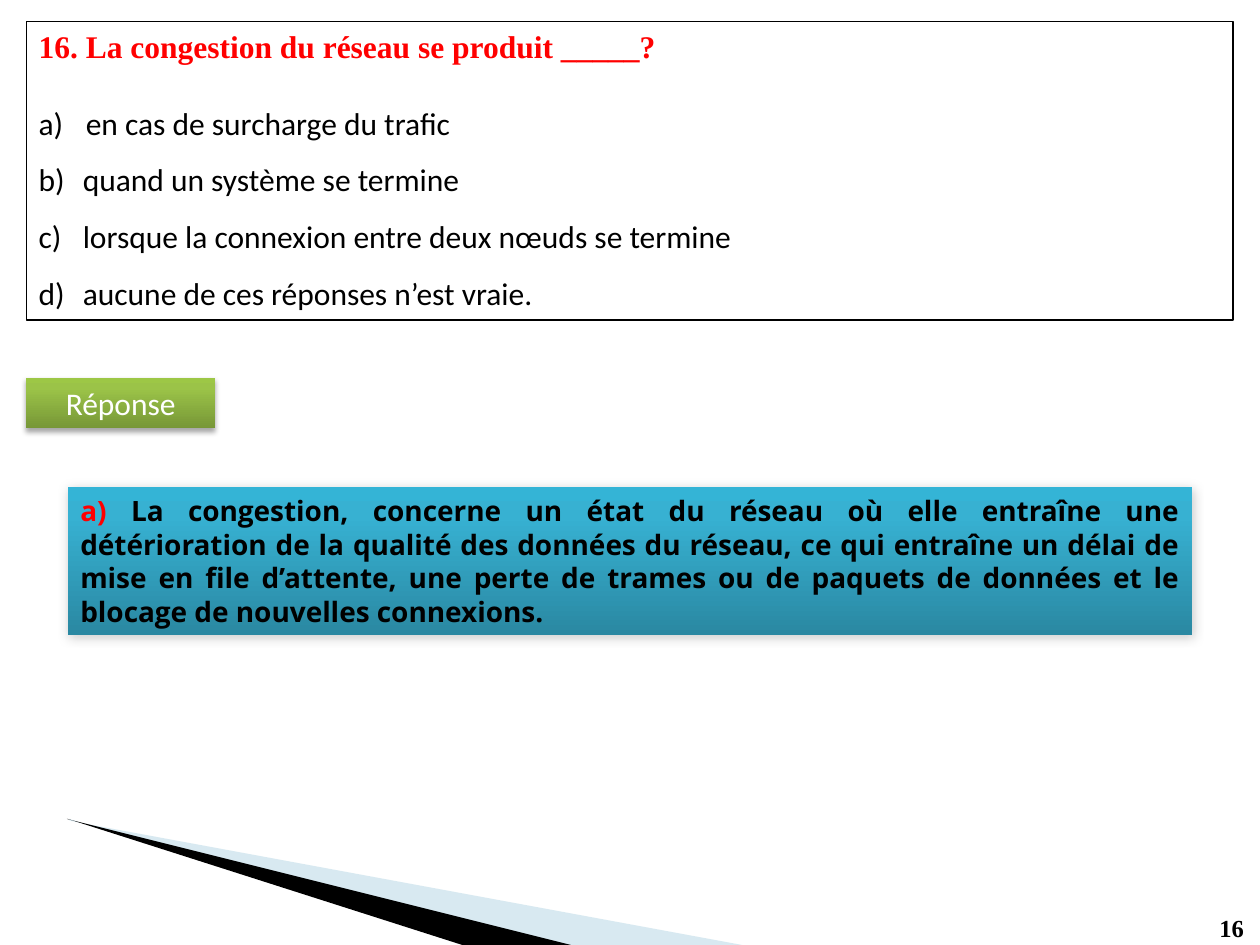
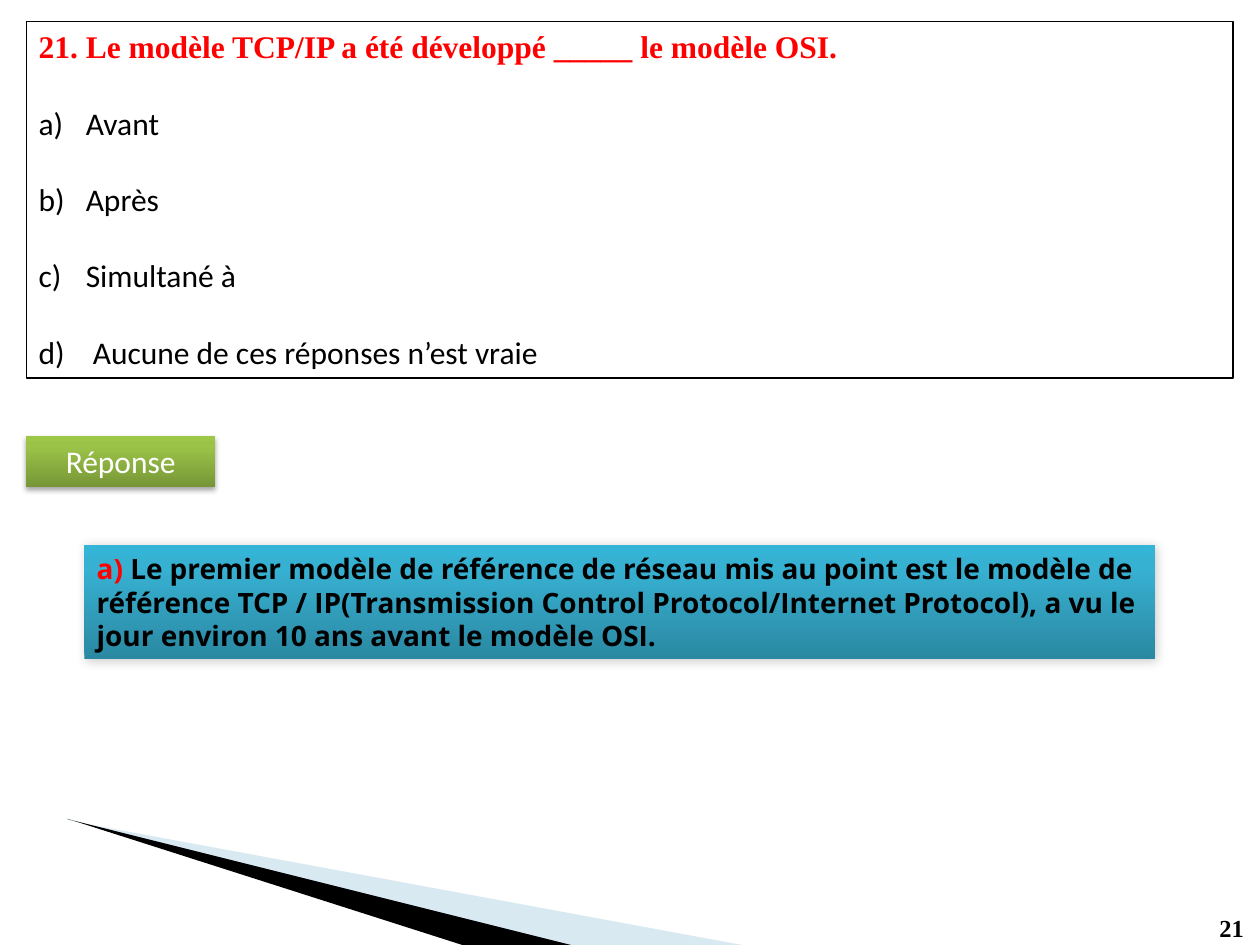
import pptx
import pptx.util
import pptx.dml.color
import pptx.enum.shapes
import pptx.enum.text
import pptx.oxml
import pptx.oxml.ns
from dataclasses import dataclass

Cm, Pt = pptx.util.Cm, pptx.util.Pt
RGB = pptx.dml.color.RGBColor.from_string
ALIGN = pptx.enum.text.PP_ALIGN
RECT = pptx.enum.shapes.MSO_SHAPE.RECTANGLE
NS = pptx.oxml.ns.nsdecls("a")


@dataclass(frozen=True)
class Theme:
    black: str = "000000"
    white: str = "FFFFFF"
    red: str = "FF0000"
    pale_blue: str = "9FCADC"
    green: tuple = ((0, "779737"), (80, "9BC348"), (100, "9DC746"))
    blue: tuple = ((0, "2A88A2"), (80, "37B1D2"), (100, "34B4D6"))
    # Shadows: opacity %, blur pt, distance pt, direction in degrees
    button_shadow: tuple = (35, 3.1, 1.8, 90)
    answer_shadow: tuple = (20, 6, 1, 45)
    serif: str = "Times New Roman"
    body: str = "Calibri"
    answer: str = "Open Sans"
    size: int = 18
    answer_size: int = 16
    number_size: int = 14


theme = Theme()


def style(r, font, size, color, bold=False):
    r.font.name, r.font.size, r.font.bold = font, Pt(size), bold
    r.font.color.rgb = RGB(color)


def add_box(slide, left, top, width, height, stops=None, shadow=None):
    sp = slide.shapes.add_shape(RECT, Cm(left), Cm(top), Cm(width), Cm(height))
    tf = sp.text_frame
    tf.word_wrap = True
    tf.auto_size = pptx.enum.text.MSO_AUTO_SIZE.SHAPE_TO_FIT_TEXT
    tf.paragraphs[0].alignment = ALIGN.LEFT
    sp.shadow.inherit = False
    if not stops:
        sp.fill.background()
        sp.line.color.rgb = RGB(theme.black)
        sp.line.width = Pt(0.75)
        return sp
    # Vertical gradient, first stop at the bottom
    sp.line.fill.background()
    spPr = sp._element.spPr
    gs = "".join(f'<a:gs pos="{pos * 1000}"><a:srgbClr val="{c}"/></a:gs>' for pos, c in stops)
    spPr.prstGeom.addnext(pptx.oxml.parse_xml(
        f'<a:gradFill {NS} rotWithShape="1"><a:gsLst>{gs}</a:gsLst>'
        '<a:lin ang="16200000" scaled="0"/></a:gradFill>'))
    alpha, blur, dist, angle = shadow
    spPr.find(pptx.oxml.ns.qn("a:effectLst")).append(pptx.oxml.parse_xml(
        f'<a:outerShdw {NS} blurRad="{Pt(blur)}" dist="{Pt(dist)}" dir="{angle * 60000}" '
        f'rotWithShape="0"><a:srgbClr val="{theme.black}">'
        f'<a:alpha val="{alpha * 1000}"/></a:srgbClr></a:outerShdw>'))
    return sp


# Corner bands: colour, opacity %, contours in cm
bands = [
    (theme.pale_blue, 40, [[(1.63, 16.59), (11.46, 19.05), (14.96, 19.05)],
                           [(1.4, 16.51), (1.4, 16.54), (1.63, 16.59)]]),
    (theme.black, 100, [[(1.35, 16.51), (1.37, 16.51), (9.32, 19.05), (11.51, 19.05)]]),
]

# Layout in cm
margin, top, box_width, gap = 0.53, 0.43, 24.33, 1.17
button_width, button_height = 3.81, 1.02

# Options: text, indent in cm, line spacing, space before in pt
questions = [
    dict(number="16", title="16. La congestion du réseau se produit _____?", height=6.02,
         options=[("en cas de surcharge du trafic", 0.95, 1, 22),
                  ("quand un système se termine", 0.89, 1.5, 0),
                  ("lorsque la connexion entre deux nœuds se termine", 0.89, 1.5, 0),
                  ("aucune de ces réponses n’est vraie.", 0.89, 1.5, 0)],
         answer="La congestion, concerne un état du réseau où elle entraîne une détérioration "
                "de la qualité des données du réseau, ce qui entraîne un délai de mise en file "
                "d’attente, une perte de trames ou de paquets de données et le blocage de "
                "nouvelles connexions.",
         answer_left=1.37, answer_width=22.66, answer_height=3, align=ALIGN.JUSTIFY),
    dict(number="21", title="21. Le modèle TCP/IP a été développé _____ le modèle OSI.", height=7.19,
         options=[(text, 0.95, 1, 22) for text in
                  ("Avant", "Après", "Simultané à", " Aucune de ces réponses n’est vraie")],
         answer="Le premier modèle de référence de réseau mis au point est le modèle de "
                "référence TCP / IP(Transmission Control Protocol/Internet Protocol), a vu le "
                "jour environ 10 ans avant le modèle OSI.",
         answer_left=1.7, answer_width=21.59, answer_height=2.31, align=ALIGN.LEFT),
]

prs = pptx.Presentation()
prs.slide_width, prs.slide_height = Cm(25.4), Cm(19.05)

for q in questions:
    slide = prs.slides.add_slide(prs.slide_layouts[6])

    # Corner bands
    for color, opacity, contours in bands:
        points = [[(Cm(x), Cm(y)) for x, y in contour] for contour in contours]
        fb = slide.shapes.build_freeform(*points[0][0])
        fb.add_line_segments(points[0][1:], close=True)
        for contour in points[1:]:
            fb.move_to(*contour[0])
            fb.add_line_segments(contour[1:], close=True)
        sp = fb.convert_to_shape()
        sp.shadow.inherit = False
        sp.line.fill.background()
        sp.fill.solid()
        sp.fill.fore_color.rgb = RGB(color)
        if opacity < 100:
            clr = sp._element.spPr.find(".//" + pptx.oxml.ns.qn("a:srgbClr"))
            clr.append(pptx.oxml.parse_xml(f'<a:alpha {NS} val="{opacity * 1000}"/>'))

    # Slide number
    tf = slide.shapes.add_textbox(Cm(24.33), Cm(18.29), Cm(1.02), Cm(0.86)).text_frame
    tf.word_wrap = True
    tf.text = q["number"]
    style(tf.paragraphs[0].runs[0], theme.serif, theme.number_size, theme.black, True)

    # Question and lettered options
    tf = add_box(slide, margin, top, box_width, q["height"]).text_frame
    tf.vertical_anchor = pptx.enum.text.MSO_ANCHOR.TOP
    p = tf.paragraphs[0]
    p.text = q["title"]
    style(p.runs[0], theme.serif, theme.size, theme.red, True)
    for text, indent, spacing, before in q["options"]:
        p = tf.add_paragraph()
        p.text = text
        pPr = p._p.get_or_add_pPr()
        pPr.set("marL", str(Cm(indent)))
        pPr.set("indent", str(-Cm(indent)))
        pPr.append(pptx.oxml.parse_xml(f'<a:buAutoNum {NS} type="alphaLcParenR"/>'))
        p.alignment = ALIGN.LEFT
        p.line_spacing = float(spacing)
        p.space_before = Pt(before)
        style(p.runs[0], theme.body, theme.size, theme.black)

    # Answer label
    button_top = top + q["height"] + gap
    sp = add_box(slide, margin, button_top, button_width, button_height,
                 theme.green, theme.button_shadow)
    p = sp.text_frame.paragraphs[0]
    p.text = "Réponse"
    p.alignment = ALIGN.CENTER
    style(p.runs[0], theme.body, theme.size, theme.white)

    # Answer
    sp = add_box(slide, q["answer_left"], button_top + button_height + gap,
                 q["answer_width"], q["answer_height"], theme.blue, theme.answer_shadow)
    p = sp.text_frame.paragraphs[0]
    p.alignment = q["align"]
    for text, color in (("a) ", theme.red), (q["answer"], theme.black)):
        r = p.add_run()
        r.text = text
        style(r, theme.answer, theme.answer_size, color, True)

prs.save("out.pptx")
